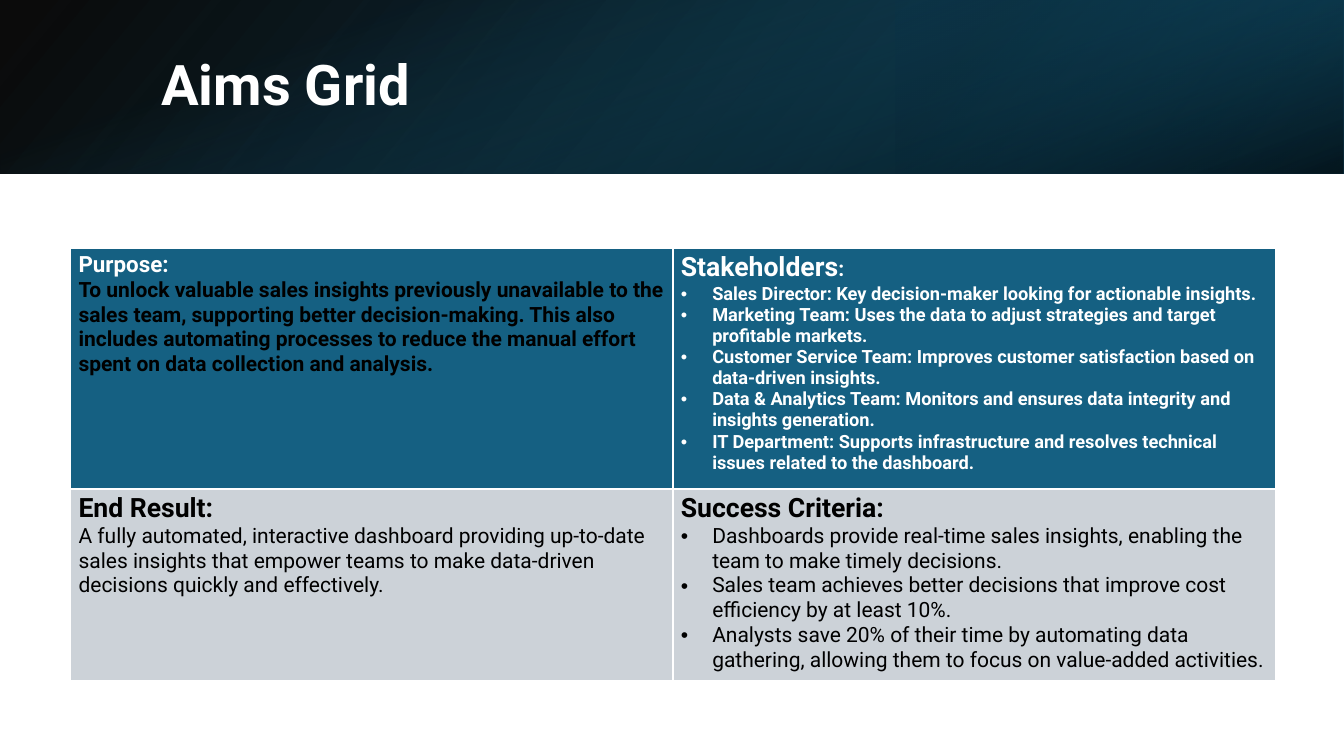
from lxml import etree
from pptx import Presentation
from pptx.dml.color import RGBColor
from pptx.enum.shapes import MSO_SHAPE
from pptx.enum.text import MSO_ANCHOR, MSO_AUTO_SIZE, PP_ALIGN
from pptx.oxml.ns import qn
from pptx.util import Cm, Pt

RECT = MSO_SHAPE.RECTANGLE
MIDDLE = MSO_ANCHOR.MIDDLE
NO_FIT = MSO_AUTO_SIZE.NONE
LEFT = PP_ALIGN.LEFT

FONT = "Roboto"
COLORS = {
    "white": "FFFFFF",
    "black": "000000",
    "blue": "156082",
    "teal": "104862",
    "navy": "0B3041",
    "grey": "CCD2D8",
}
SLIDE_W, SLIDE_H = 33.87, 19.05
BAND_H = 4.37

PURPOSE = (
    "To unlock valuable sales insights previously unavailable to the sales team, "
    "supporting better decision-making. This also includes automating processes to "
    "reduce the manual effort spent on data collection and analysis."
)
STAKEHOLDERS = [
    "Sales Director: Key decision-maker looking for actionable insights.",
    "Marketing Team: Uses the data to adjust strategies and target profitable markets.",
    "Customer Service Team: Improves customer satisfaction based on data-driven insights.",
    "Data & Analytics Team: Monitors and ensures data integrity and insights generation.",
    "IT Department: Supports infrastructure and resolves technical issues related to the dashboard.",
]
END_RESULT = (
    "A fully automated, interactive dashboard providing up-to-date sales insights "
    "that empower teams to make data-driven decisions quickly and effectively."
)
CRITERIA = [
    "Dashboards provide real-time sales insights, enabling the team to make timely decisions.",
    "Sales team achieves better decisions that improve cost efficiency by at least 10%.",
    "Analysts save 20% of their time by automating data gathering, "
    "allowing them to focus on value-added activities.",
]


def rgb(name):
    return RGBColor.from_string(COLORS[name])


def add_text(p, text, size, color, bold=True):
    r = p.add_run()
    r.text = text
    r.font.name = FONT
    r.font.size = Pt(size)
    r.font.bold = bold
    r.font.color.rgb = rgb(color)


def add_bullet(p):
    pPr = p._p.get_or_add_pPr()
    pPr.set("marL", str(Cm(0.79)))
    pPr.set("indent", str(-Cm(0.79)))
    etree.SubElement(pPr, qn("a:buFont"), typeface="Arial")
    etree.SubElement(pPr, qn("a:buChar"), char="•")


def add_gradient(slide, box, stops, angle, rotation=0, flip=False):
    """Add a rectangle; stops are (position %, colour, opacity %), angle is clockwise."""
    sp = slide.shapes.add_shape(RECT, *map(Cm, box))
    sp.shadow.inherit = False
    sp.line.fill.background()
    sp.rotation = rotation
    spPr = sp._element.spPr
    if flip:
        spPr.xfrm.set("flipH", "1")
    sp.fill.gradient()
    sp.fill.gradient_angle = 360 - angle
    for stop, (position, color, _) in zip(sp.fill.gradient_stops, stops):
        stop.position = position / 100
        stop.color.rgb = rgb(color)
    for clr, (_, _, opacity) in zip(spPr.iter(qn("a:srgbClr")), stops):
        etree.SubElement(clr, qn("a:alpha"), val=str(opacity * 1000))


def add_header(slide):
    add_gradient(slide, (0, 0, SLIDE_W, BAND_H),
                 [(0, "black", 96), (100, "teal", 100)], 140, flip=True)
    add_gradient(slide, (SLIDE_W * 2 / 3, 0, SLIDE_W / 3, BAND_H),
                 [(19, "navy", 68), (100, "blue", 79)], 320, rotation=180, flip=True)
    offset = (SLIDE_W - BAND_H) / 2
    add_gradient(slide, (offset, -offset, BAND_H, SLIDE_W),
                 [(23, "blue", 0), (99, "black", 74)], 340, rotation=90)


def set_title(slide, text):
    title = slide.shapes.title
    title.left, title.top, title.width, title.height = map(Cm, (3.81, 0.97, 27.89, 2.44))
    slide.shapes._spTree.append(title._element)  # in front of the header band
    tf = title.text_frame
    tf.auto_size = NO_FIT
    tf.vertical_anchor = MIDDLE
    p = tf.paragraphs[0]
    p.alignment = LEFT
    p.line_spacing = 0.9
    add_text(p, text, 40, "white")


def fill_cell(cell, fill, heading, lines, bullets=False, **style):
    """Write heading runs, given as (text, size, colour), and then the lines."""
    cell.fill.solid()
    cell.fill.fore_color.rgb = rgb(fill)
    cell.margin_left = cell.margin_right = Cm(0.2)
    cell.margin_top = cell.margin_bottom = Cm(0.1)
    tf = cell.text_frame
    for run in heading:
        add_text(tf.paragraphs[0], *run)
    for line in lines:
        p = tf.add_paragraph()
        if bullets:
            add_bullet(p)
        add_text(p, line, **style)


def add_aims_table(slide):
    frame = slide.shapes.add_table(2, 2, Cm(1.78), Cm(6.25), Cm(30.36), Cm(10.9))
    table = frame.table
    table.horz_banding = False
    for column in table.columns:
        column.width = Cm(15.18)
    for row, height in zip(table.rows, (6.07, 4.83)):
        row.height = Cm(height)
    fill_cell(table.cell(0, 0), "blue", [("Purpose:", 16, "white")],
              [PURPOSE], size=15, color="black")
    fill_cell(table.cell(0, 1), "blue",
              [("Stakeholders", 19, "white"), (":", 15, "white")],
              STAKEHOLDERS, bullets=True, size=13, color="white")
    fill_cell(table.cell(1, 0), "grey", [("End Result:", 19, "black")],
              [END_RESULT], size=15, color="black", bold=False)
    fill_cell(table.cell(1, 1), "grey", [("Success Criteria:", 19, "black")],
              CRITERIA, bullets=True, size=15, color="black", bold=False)


def main():
    prs = Presentation()
    prs.slide_width, prs.slide_height = Cm(SLIDE_W), Cm(SLIDE_H)
    slide = prs.slides.add_slide(prs.slide_layouts[5])
    add_header(slide)
    set_title(slide, "Aims Grid")
    add_aims_table(slide)
    prs.save("out.pptx")


if __name__ == "__main__":
    main()
